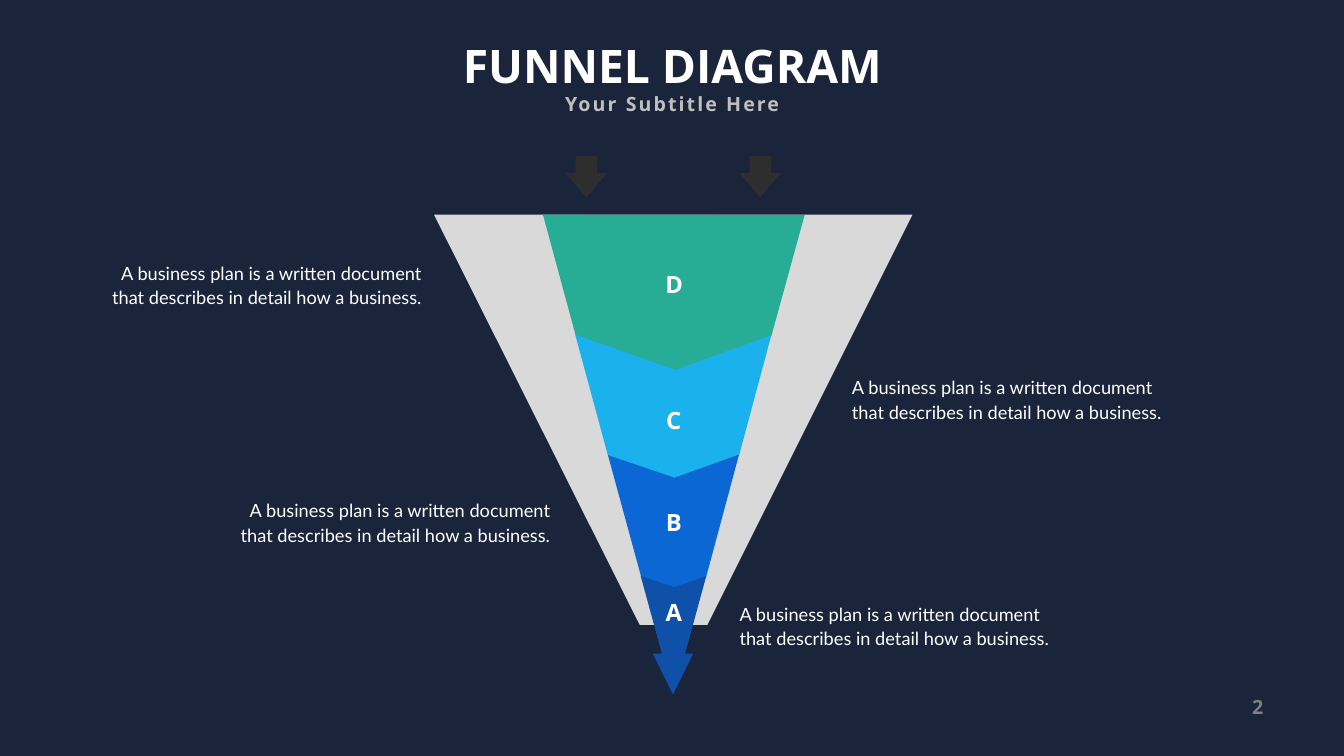
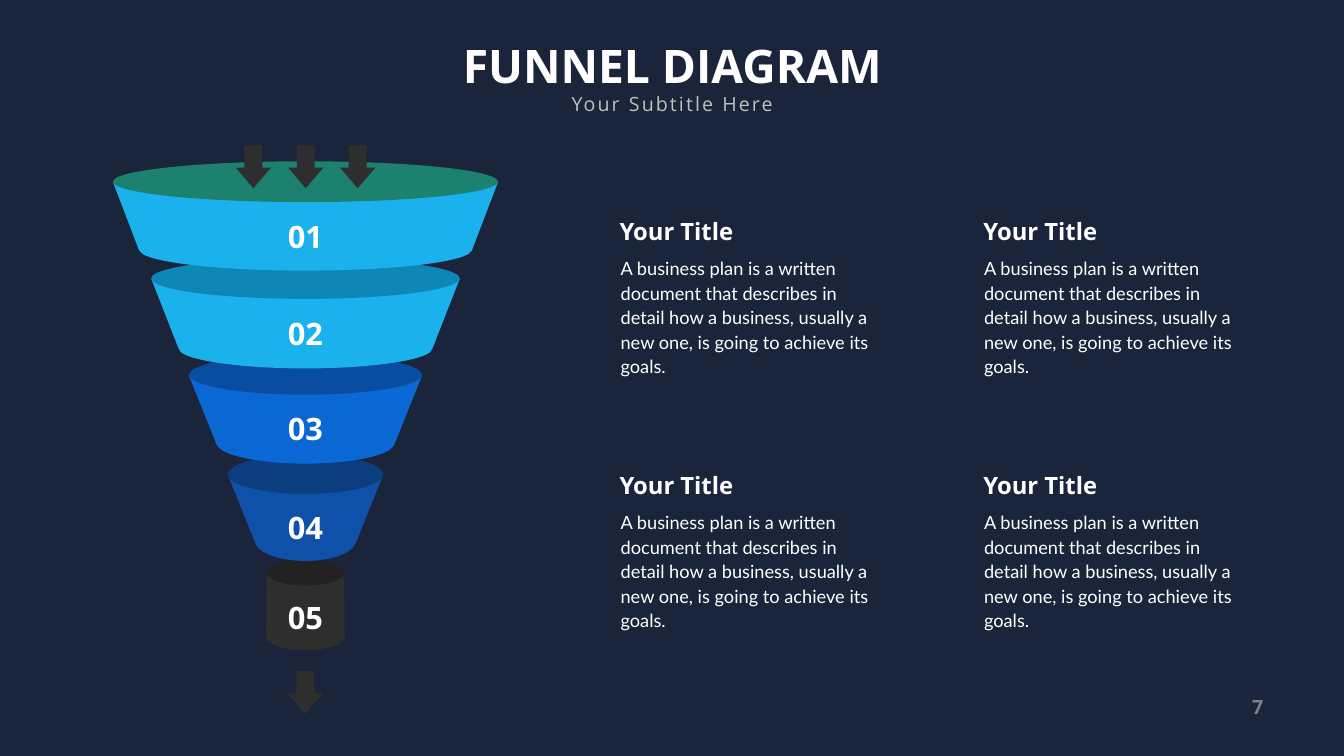
from lxml import etree
from pptx import Presentation
from pptx.dml.color import RGBColor
from pptx.enum.shapes import MSO_SHAPE as SHAPE
from pptx.enum.text import MSO_ANCHOR as ANCHOR, MSO_AUTO_SIZE as AUTO, PP_ALIGN as ALIGN
from pptx.oxml.ns import qn
from pptx.util import Pt

PX = 9144  # EMU per px, 100 px to the inch
SLIDE_W, SLIDE_H = 2666, 1500

NAVY = RGBColor(0x1A, 0x24, 0x3A)
WHITE = RGBColor(0xFF, 0xFF, 0xFF)
SILVER = RGBColor(0xBF, 0xBF, 0xBF)
GREY = RGBColor(0x80, 0x80, 0x80)
LIGHT = RGBColor(0xD9, 0xD9, 0xD9)
CHARCOAL = RGBColor(0x2E, 0x2E, 0x2E)
TEAL = RGBColor(0x27, 0xAC, 0x95)
SKY = RGBColor(0x1B, 0xB1, 0xEC)
BLUE = RGBColor(0x0A, 0x67, 0xD4)
ROYAL = RGBColor(0x0F, 0x51, 0xA9)
CHARCOAL_RIM = RGBColor(0x22, 0x22, 0x22)
TEAL_RIM = RGBColor(0x1D, 0x81, 0x70)
SKY_RIM = RGBColor(0x0F, 0x87, 0xB6)
BLUE_RIM = RGBColor(0x08, 0x4D, 0x9F)
ROYAL_RIM = RGBColor(0x0B, 0x3D, 0x7F)

HEAD_FONT, BODY_FONT = "Open Sans", "Lato"
SHORT_TEXT = "A business plan is a written document that describes in detail how a business."
LONG_TEXT = ("A business plan is a written document that describes in detail how a business, "
             "usually a new one, is going to achieve its goals.")


class Deck:
    def __init__(self):
        self.prs = Presentation()
        self.prs.slide_width, self.prs.slide_height = SLIDE_W * PX, SLIDE_H * PX
        self.s = None

    def new_slide(self, number, subtitle_bold):
        """Start a slide with its background, title, subtitle and number."""
        self.s = self.prs.slides.add_slide(self.prs.slide_layouts[6])
        fill = self.s.background.fill
        fill.solid()
        fill.fore_color.rgb = NAVY
        self.label(2429, 1374, 87, 57, number, 28, color=GREY, align=ALIGN.RIGHT, tracking=300)
        self.label(904, 69, 860, 121, "FUNNEL DIAGRAM", 66)
        self.label(1107, 177, 453, 57, "Your Subtitle Here", 28, color=SILVER,
                   bold=subtitle_bold, tracking=300)

    def text_box(self, x, y, w, h, text, align, anchor):
        tf = self.s.shapes.add_textbox(x * PX, y * PX, w * PX, h * PX).text_frame
        tf.text = text
        tf.auto_size = AUTO.SHAPE_TO_FIT_TEXT
        tf.vertical_anchor = anchor
        p = tf.paragraphs[0]
        p.alignment = align
        return tf, p, p.runs[0]

    def label(self, x, y, w, h, text, size, color=WHITE, bold=True, align=ALIGN.CENTER,
              anchor=ANCHOR.TOP, tracking=None):
        """Add one unwrapped line in the heading font; tracking is in 1/100 pt."""
        tf, p, r = self.text_box(x, y, w, h, text, align, anchor)
        tf.word_wrap = False
        self.font(r, HEAD_FONT, size, color, bold)
        if tracking:
            r.font._element.set("spc", str(tracking))

    def body(self, x, y, w, h, text, align=ALIGN.LEFT, anchor=ANCHOR.TOP):
        tf, p, r = self.text_box(x, y, w, h, text, align, anchor)
        tf.word_wrap = True
        tf.margin_left = tf.margin_right = 24 * PX
        tf.margin_top = tf.margin_bottom = 12 * PX
        p.line_spacing, p.space_before = Pt(35), Pt(5)
        self.font(r, BODY_FONT, 26, WHITE, False)

    def font(self, r, name, size, color, bold):
        r.font.name, r.font.size, r.font.bold = name, Pt(size), bold
        r.font.color.rgb = color

    def paint(self, sp, color):
        sp.shadow.inherit = False
        sp.fill.solid()
        sp.fill.fore_color.rgb = color
        sp.line.fill.background()
        return sp

    def shape(self, kind, x, y, w, h, color):
        return self.paint(self.s.shapes.add_shape(kind, x * PX, y * PX, w * PX, h * PX), color)

    def down_arrow(self, x, y, w, h, head):
        sp = self.shape(SHAPE.RIGHT_ARROW, x, y, w, h, CHARCOAL)
        sp.adjustments[0], sp.adjustments[1] = 0.507, head
        sp.rotation = 90
        return sp

    def polygon(self, points, color):
        builder = self.s.shapes.build_freeform(*points[0], scale=PX)
        builder.add_line_segments(points[1:], close=True)
        return self.paint(builder.convert_to_shape(), color)

    def bowl(self, cx, rim, corner, lip, bottom, color):
        """Draw a bowl from (half width, y) pairs, rounded from the lip to the bottom."""
        half, y = lip
        handles = [(round(0.905 * half), round(y + 0.57 * (bottom - y))),
                   (round(0.49 * half), bottom)]
        side = [rim, corner, lip] + handles
        right = [(cx + dx, y) for dx, y in side]
        left = [(cx - dx, y) for dx, y in reversed(side)]
        sp = self.polygon(right + [(cx, bottom)] + left, color)
        lines = list(sp._element.iter(qn("a:lnTo")))
        curve_lines(lines[2:5])
        curve_lines(lines[5:8])


def curve_lines(lines):
    """Turn three line segments into one cubic curve through their points."""
    curve = etree.Element(qn("a:cubicBezTo"))
    lines[0].addprevious(curve)
    for line in lines:
        curve.append(line[0])
        line.getparent().remove(line)


def chevron_funnel(deck):
    deck.new_slide("2", subtitle_bold=True)
    deck.polygon([(861, 426), (1269, 1240), (1403, 1240), (1810, 426)], LIGHT)
    segments = [
        (TEAL, [(1077, 426), (1142, 666), (1337, 736), (1530, 667), (1596, 427)]),
        (SKY, [(1466, 904), (1530, 665), (1340, 734), (1141, 664), (1206, 904), (1337, 950)]),
        (BLUE, [(1401, 1144), (1466, 902), (1338, 948), (1206, 903), (1272, 1145), (1337, 1168)]),
        (ROYAL, [(1271, 1143), (1338, 1165), (1401, 1143), (1359, 1297), (1375, 1297),
                 (1335, 1378), (1295, 1297), (1313, 1297)]),
    ]
    for color, points in segments:
        deck.polygon(points, color)
    for x in (1467, 1122):
        deck.down_arrow(x, 309, 82, 83, 0.59)
    for x, y, align in ((159, 503, ALIGN.RIGHT), (414, 974, ALIGN.RIGHT),
                        (1666, 730, ALIGN.LEFT), (1443, 1179, ALIGN.LEFT)):
        deck.body(x, y, 702, 121, SHORT_TEXT, align, ANCHOR.MIDDLE)
    for letter, y in (("A", 1181), ("B", 1002), ("C", 799), ("D", 530)):
        deck.label(1310, y, 53, 67, letter, 34, anchor=ANCHOR.MIDDLE)


def bowl_funnel(deck):
    deck.new_slide("7", subtitle_bold=False)
    cx = 606
    # label, label y, rim, corner, lip, bottom, rim ellipse top and height, colours
    bowls = [
        ("05", 1182, (77, 1138), (78, 1266), (76, 1269), 1290, 1110, 52, CHARCOAL, CHARCOAL_RIM),
        ("04", 1004, (154, 942), (100, 1077), (98, 1081), 1113, 902, 78, ROYAL, ROYAL_RIM),
        ("03", 808, (231, 746), (176, 883), (172, 888), 920, 704, 79, BLUE, BLUE_RIM),
        ("02", 620, (306, 553), (252, 691), (247, 699), 731, 512, 81, SKY, SKY_RIM),
        ("01", 427, (382, 361), (330, 497), (323, 504), 537, 320, 81, SKY, TEAL_RIM),
    ]
    for _, _, rim, corner, lip, bottom, top, height, color, rim_color in bowls:
        deck.bowl(cx, rim, corner, lip, bottom, color)
        deck.shape(SHAPE.OVAL, cx - rim[0], top, 2 * rim[0], height, rim_color)
    arrows = [deck.down_arrow(x, 296, 85, 70, 0.582) for x in (460, 564, 667)]
    deck.s.shapes.add_group_shape(arrows)
    deck.down_arrow(563, 1339, 85, 70, 0.582)

    for title_x, body_x in ((1219, 1207), (1941, 1928)):
        for title_y, body_y in ((928, 998), (425, 494)):
            deck.label(title_x, title_y, 248, 67, "Your Title", 34, align=ALIGN.LEFT,
                       anchor=ANCHOR.MIDDLE)
            deck.body(body_x, body_y, 570, 219, LONG_TEXT)
    for number, y, *_ in reversed(bowls):
        deck.label(560, y, 92, 84, number, 44, anchor=ANCHOR.MIDDLE)


def main():
    deck = Deck()
    chevron_funnel(deck)
    bowl_funnel(deck)
    deck.prs.save("out.pptx")


if __name__ == "__main__":
    main()
